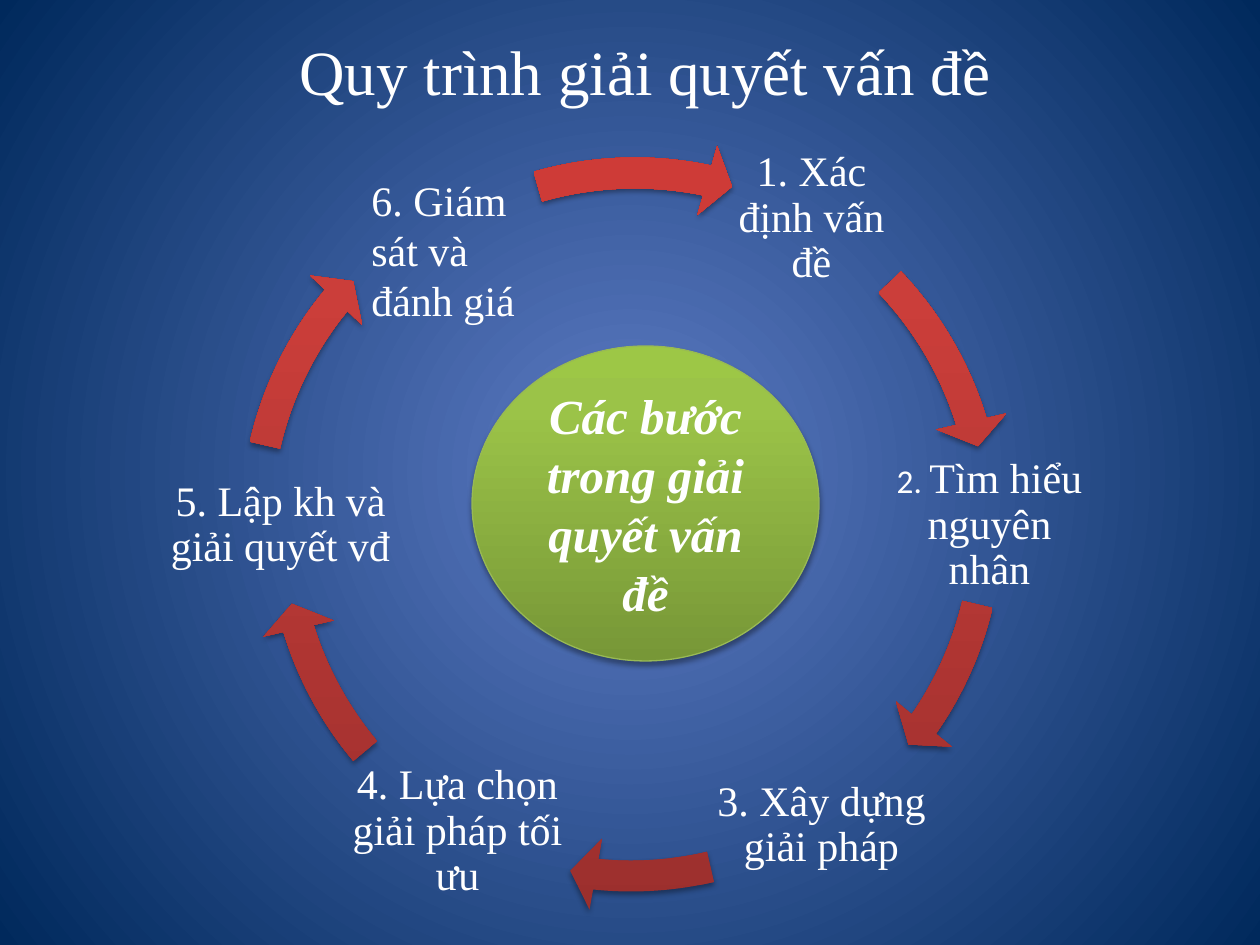
from lxml import etree
from pptx import Presentation
from pptx.dml.color import RGBColor
from pptx.enum.shapes import MSO_SHAPE as SHAPE
from pptx.enum.text import MSO_ANCHOR as ANCHOR, PP_ALIGN as ALIGN
from pptx.oxml import parse_xml
from pptx.oxml.ns import nsdecls, qn
from pptx.util import Emu, Pt

PX = 914400 / 126
SERIF, SANS = "Times New Roman", "Calibri"
COLORS = {"text": "FFFFFF", "rim": "98B955", "shadow": "000000"}
BACKGROUND = [(0, "5E7CC5"), (100, "00295C")]
RED = [(0, "9C2F2D"), (80, "CB3E3A"), (100, "CE3B37")]
GREEN = [(0, "779737"), (80, "9BC348"), (100, "9DC746")]

TITLE = "Quy trình giải quyết vấn đề"
CENTER = "Các bước trong giải quyết vấn đề"
LAST_STEP = "6. Giám sát và đánh giá"
# left, top, width, runs of (text, size, font)
STEPS = [
    (732, 139, 159, [("1. Xác định vấn đề", 24, SERIF)]),
    (882, 446, 215, [("2. ", 19, SANS), ("Tìm hiểu nguyên nhân", 24, SERIF)]),
    (712, 746, 219, [("3. Xây dựng giải pháp", 24, SERIF)]),
    (344, 752, 227, [("4. Lựa chọn giải pháp tối ưu", 24, SERIF)]),
    (164, 446, 233, [("5. Lập kh và giải quyết vđ", 24, SERIF)]),
]
STEP_HEIGHT, STEP_INSET = 159, 4
# left, top, start angle, end angle (degrees, clockwise from the right)
ARROWS = [
    (247, 137, 316.38, 342.89),
    (247, 135, 13.38, 34.84),
    (243, 136, 76.96, 95.75),
    (247, 137, 140.05, 162.89),
    (220, 136, 192.94, 219.45),
    (247, 137, 253.98, 281.85),
]
RING, BAND, HEAD, HEAD_ANGLE = 776, 31, 36, 4.17


def px(*lengths):
    return [Emu(round(n * PX)) for n in lengths]


def set_gradient(fill, parent, stops, direction):
    """Replace the fill of parent by a gradient with any number of stops."""
    fill.solid()
    stop_xml = "".join(
        f'<a:gs pos="{pos * 1000}"><a:srgbClr val="{color}"/></a:gs>'
        for pos, color in stops)
    gradient = parse_xml(
        f'<a:gradFill {nsdecls("a")} rotWithShape="1">'
        f"<a:gsLst>{stop_xml}</a:gsLst>{direction}</a:gradFill>")
    parent.replace(parent.find(qn("a:solidFill")), gradient)


def add_shadow(sp):
    sp.shadow.inherit = False
    effects = sp.element.spPr.find(qn("a:effectLst"))
    shadow = etree.SubElement(
        effects, qn("a:outerShdw"), blurRad=str(Pt(3.1)), dist=str(Pt(1.8)),
        dir="5400000", rotWithShape="0")
    color = etree.SubElement(shadow, qn("a:srgbClr"), val=COLORS["shadow"])
    etree.SubElement(color, qn("a:alpha"), val="35000")


def add_glossy(slide, kind, box, stops):
    sp = slide.shapes.add_shape(kind, *px(*box))
    set_gradient(sp.fill, sp.element.spPr, stops,
                 '<a:lin ang="16200000" scaled="0"/>')
    sp.line.fill.background()
    add_shadow(sp)
    return sp


def write(sp, runs, align=ALIGN.CENTER, anchor=ANCHOR.MIDDLE, strong=False):
    tf = sp.text_frame
    tf.word_wrap = True
    tf.vertical_anchor = anchor
    p = tf.paragraphs[0]
    p.alignment = align
    for text, size, font in runs:
        r = p.add_run()
        r.text = text
        r.font.size = Pt(size)
        r.font.name = font
        r.font.bold = r.font.italic = strong
        r.font.color.rgb = RGBColor.from_string(COLORS["text"])
    return tf


def add_step(slide, left, top, width, runs):
    sp = slide.shapes.add_textbox(*px(left, top, width, STEP_HEIGHT))
    tf = write(sp, runs)
    tf.paragraphs[0].line_spacing = 0.9
    inset, = px(STEP_INSET)
    tf.margin_left = tf.margin_right = inset
    tf.margin_top = tf.margin_bottom = inset


def add_arrow(slide, left, top, start, end):
    sp = add_glossy(slide, SHAPE.CIRCULAR_ARROW, (left, top, RING, RING), RED)
    # Angles are stored in 60000ths of a degree, adjustments in 100000ths
    values = (BAND / RING, HEAD_ANGLE * 0.6, end * 0.6, start * 0.6, HEAD / RING)
    for i, value in enumerate(values):
        sp.adjustments[i] = value


def main():
    prs = Presentation()
    prs.slide_width, prs.slide_height = px(1260, 945)
    slide = prs.slides.add_slide(prs.slide_layouts[6])

    fill = slide.background.fill
    fill.solid()
    set_gradient(
        fill, slide.element.find(".//" + qn("p:bgPr")), BACKGROUND,
        '<a:path path="circle"><a:fillToRect l="50000" t="50000" '
        'r="50000" b="50000"/></a:path>')

    title = slide.shapes.add_textbox(*px(78, 21, 1134, 98))
    write(title, [(TITLE, 36, SERIF)])

    for step in STEPS:
        add_step(slide, *step)
    for arrow in ARROWS:
        add_arrow(slide, *arrow)

    hub = add_glossy(slide, SHAPE.OVAL, (472, 346, 347, 315), GREEN)
    hub.line.color.rgb = RGBColor.from_string(COLORS["rim"])
    hub.line.width = Pt(0.75)
    write(hub, [(CENTER, 28, SERIF)], strong=True)

    last = slide.shapes.add_textbox(*px(359, 168, 179, 165))
    write(last, [(LAST_STEP, 24, SERIF)], ALIGN.LEFT, ANCHOR.TOP)

    prs.save("out.pptx")


if __name__ == "__main__":
    main()
